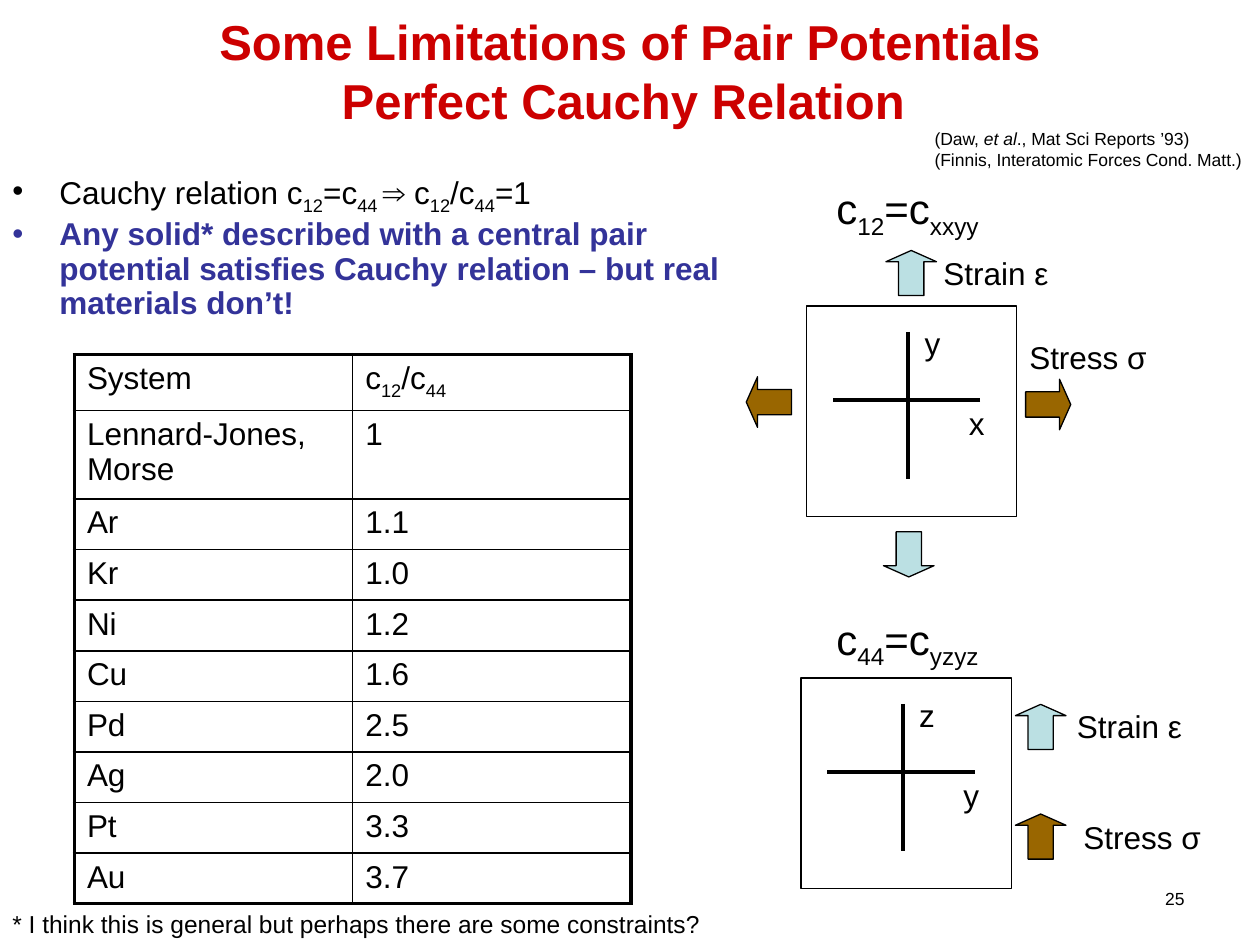
from lxml import etree
from pptx import Presentation
from pptx import util as u
from pptx.dml import color
from pptx.enum import shapes, text
from pptx.oxml import ns

BLACK, RED, NAVY = "000000", "CC0000", "333399"
AQUA, BROWN = "BBE0E3", "996600"
SQUARE = 4.24


def rgb(value):
    return color.RGBColor.from_string(value)


def sub(words):
    """Mark words as a subscript."""
    return words, "sub"


def add_element(parent, tag, **attributes):
    return etree.SubElement(parent, ns.qn(tag), attributes)


def write(para, spans, size, colour=BLACK, bold=False):
    """Add spans, each a string or a (words, style) pair, as runs."""
    for item in spans:
        words, style = (item, None) if isinstance(item, str) else item
        span = para.add_run()
        span.text = words
        font = span.font
        font.name, font.size, font.bold = "Arial", u.Pt(size), bold
        font.color.rgb = rgb(colour)
        if style == "italic":
            font.italic = True
        elif style == "sub":
            span._r.get_or_add_rPr().set("baseline", "-25000")


class Slide:
    def __init__(self, deck):
        self.page = deck.slides.add_slide(deck.slide_layouts[6])

    def box(self, left, top, width, height, wrap=False):
        frame = self.page.shapes.add_textbox(
            u.Cm(left), u.Cm(top), u.Cm(width), u.Cm(height)).text_frame
        frame.word_wrap = wrap
        return frame

    def label(self, left, top, width, height, *lines, size=18):
        frame = self.box(left, top, width, height)
        for index, spans in enumerate(lines):
            para = frame.add_paragraph() if index else frame.paragraphs[0]
            write(para, spans, size)

    def title(self, lines):
        frame = self.box(0, 0, 25.4, 2.84, wrap=True)
        frame.vertical_anchor = text.MSO_ANCHOR.MIDDLE
        para = frame.paragraphs[0]
        para.alignment = text.PP_ALIGN.CENTER
        for index, line in enumerate(lines):
            if index:
                para.add_line_break()
            write(para, [line], 28, RED, bold=True)

    def bullets(self, items):
        frame = self.box(0, 3.38, 15.8, 3.43, wrap=True)
        for index, (spans, colour, bold) in enumerate(items):
            para = frame.add_paragraph() if index else frame.paragraphs[0]
            para.line_spacing = 0.9
            para.space_before = u.Pt(3.6 if index else 0)
            props = para._p.get_or_add_pPr()
            props.set("marL", str(u.Cm(0.95)))
            props.set("indent", str(u.Cm(-0.95)))
            add_element(props, "a:buFont", typeface="Arial")
            add_element(props, "a:buChar", char="•")
            write(para, spans, 18, colour, bold)

    def shape(self, kind, left, top, width, height, fill=None):
        shape = self.page.shapes.add_shape(
            kind, u.Cm(left), u.Cm(top), u.Cm(width), u.Cm(height))
        shape.shadow.inherit = False
        shape.line.color.rgb = rgb(BLACK)
        shape.line.width = u.Pt(0.75)
        if fill:
            shape.fill.solid()
            shape.fill.fore_color.rgb = rgb(fill)
        else:
            shape.fill.background()
        return shape

    def arrow(self, left, top, fill, rotation=0):
        arrow = self.shape(shapes.MSO_SHAPE.UP_ARROW, left, top, 1.02, 0.91, fill)
        arrow.adjustments[1] = 0.25
        arrow.rotation = rotation

    def line(self, x1, y1, x2, y2):
        line = self.page.shapes.add_connector(
            shapes.MSO_CONNECTOR.STRAIGHT, u.Cm(x1), u.Cm(y1), u.Cm(x2), u.Cm(y2))
        line.line.color.rgb = rgb(BLACK)
        line.line.width = u.Pt(2.25)
        add_element(line._element.spPr, "a:effectLst")

    def axes(self, left, top, across, up):
        """Draw a square with a labelled pair of axes inside."""
        self.shape(shapes.MSO_SHAPE.RECTANGLE, left, top, SQUARE, SQUARE)
        self.line(left + 2.05, top + 0.52, left + 2.05, top + 3.49)
        self.line(left + 3.5, top + 1.9, left + 0.53, top + 1.9)
        self.label(left + 3.02, top + 1.85, 0.84, 1.02, [across])
        self.label(left + 2.13, top + 0.24, 0.84, 1.02, [up])

    def table(self, rows, left, top, column_width, heights):
        count, columns = len(rows), len(rows[0])
        grid = self.page.shapes.add_table(
            count, columns, u.Cm(left), u.Cm(top),
            u.Cm(column_width * columns), u.Cm(sum(heights))).table
        grid.first_row = grid.horz_banding = False
        for column in grid.columns:
            column.width = u.Cm(column_width)
        for r, (row, height) in enumerate(zip(rows, heights)):
            grid.rows[r].height = u.Cm(height)
            for c, spans in enumerate(row):
                cell = grid.cell(r, c)
                write(cell.text_frame.paragraphs[0], spans, 18)
                outer = {"a:lnL": c == 0, "a:lnR": c == columns - 1,
                         "a:lnT": r == 0, "a:lnB": r == count - 1}
                self.borders(cell, outer)
                cell.fill.background()

    def borders(self, cell, outer):
        props = cell._tc.get_or_add_tcPr()
        for tag, is_outer in outer.items():
            edge = add_element(props, tag, w=str(u.Pt(2.25 if is_outer else 1)))
            fill = add_element(edge, "a:solidFill")
            add_element(fill, "a:srgbClr", val=BLACK)


def main():
    deck = Presentation()
    deck.slide_width, deck.slide_height = u.Cm(25.4), u.Cm(19.05)
    slide = Slide(deck)

    slide.title(["Some Limitations of Pair Potentials", "Perfect Cauchy Relation "])
    ratio = ["c", sub("12"), "/c", sub("44")]
    slide.bullets([
        (["Cauchy relation c", sub("12"), "=c", sub("44 "), "⇒ ", *ratio, "=1"],
         BLACK, False),
        (["Any solid* described with a central pair potential satisfies "
          "Cauchy relation – but real materials don’t!"], NAVY, True),
    ])

    for top, index, tensor in [(3.56, "12", "xxyy"), (12.24, "44", "yzyz")]:
        slide.label(16.61, top, 3.61, 1.27,
                    ["c", sub(index), "=c", sub(tensor)], size=24)

    slide.axes(16.26, 6.17, "x", "y")
    slide.axes(16.15, 13.67, "y", "z")
    for left, top, fill, rotation in [
        (17.86, 5.05, AQUA, 0), (17.81, 10.72, AQUA, 180),
        (14.99, 7.65, BROWN, 270), (20.62, 7.7, BROWN, 90),
        (20.47, 14.2, AQUA, 0), (20.47, 16.41, BROWN, 0),
    ]:
        slide.arrow(left, top, fill, rotation)
    for left, top in [(20.5, 6.68), (21.59, 16.36)]:
        slide.label(left, top, 3.02, 1.02, ["Stress σ"])
    for left, top in [(18.77, 5), (21.46, 14.12)]:
        slide.label(left, top, 2.79, 1.02, ["Strain ε"])

    systems = [("Lennard-Jones, Morse", "1"), ("Ar", "1.1"), ("Kr", "1.0"),
               ("Ni", "1.2"), ("Cu", "1.6"), ("Pd", "2.5"), ("Ag", "2.0"),
               ("Pt", "3.3"), ("Au", "3.7")]
    rows = [(["System"], ratio)] + [([name], [value]) for name, value in systems]
    slide.table(rows, 1.5, 7.15, 5.61, [1.13, 1.78] + [1.02] * 8)

    slide.label(18.59, 2.46, 6.71, 1.09,
                ["(Daw, ", ("et al", "italic"), "., Mat Sci Reports ’93)"],
                ["(Finnis, Interatomic Forces Cond. Matt.)"], size=10)
    slide.label(0, 18.21, 14.48, 0.86,
                ["* I think this is general but perhaps there are some constraints?"],
                size=14)
    number = slide.box(18.21, 17.78, 5.92, 0.89, wrap=True).paragraphs[0]
    number.alignment = text.PP_ALIGN.RIGHT
    write(number, ["25"], 10)

    deck.save("out.pptx")


if __name__ == "__main__":
    main()
